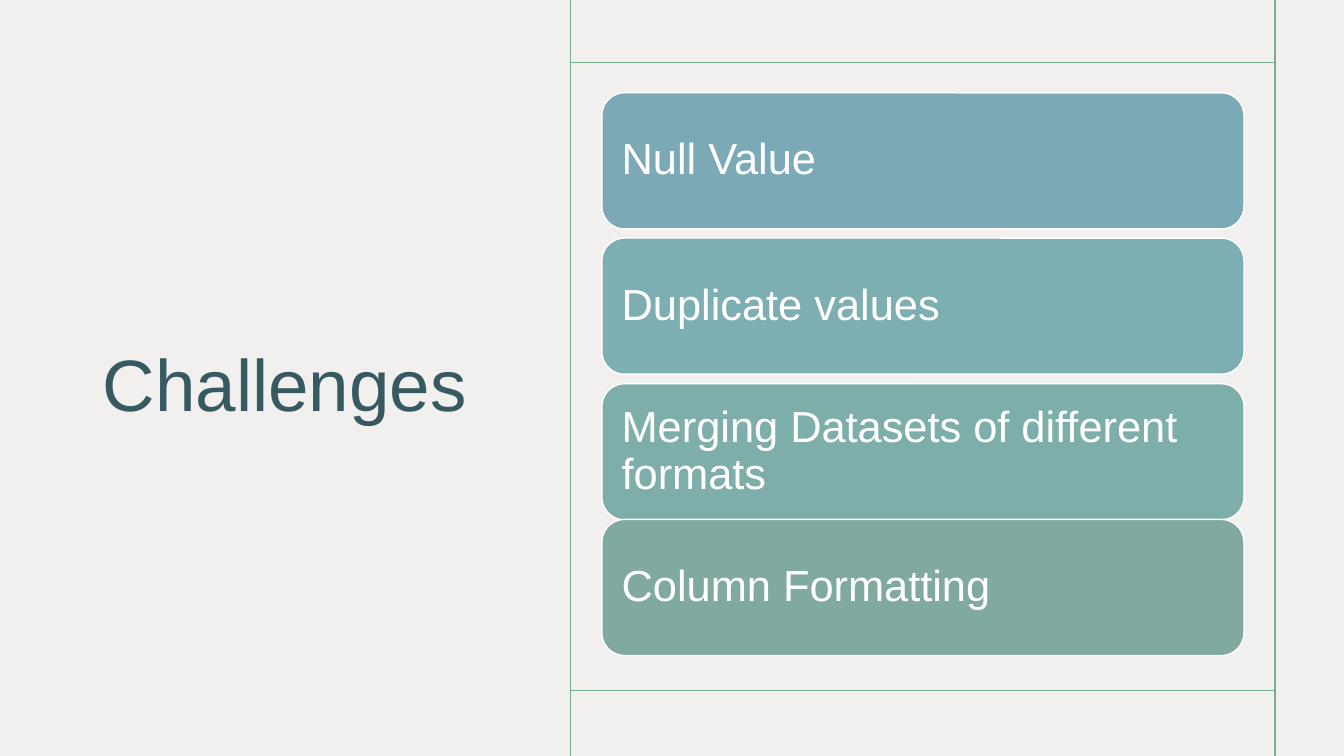
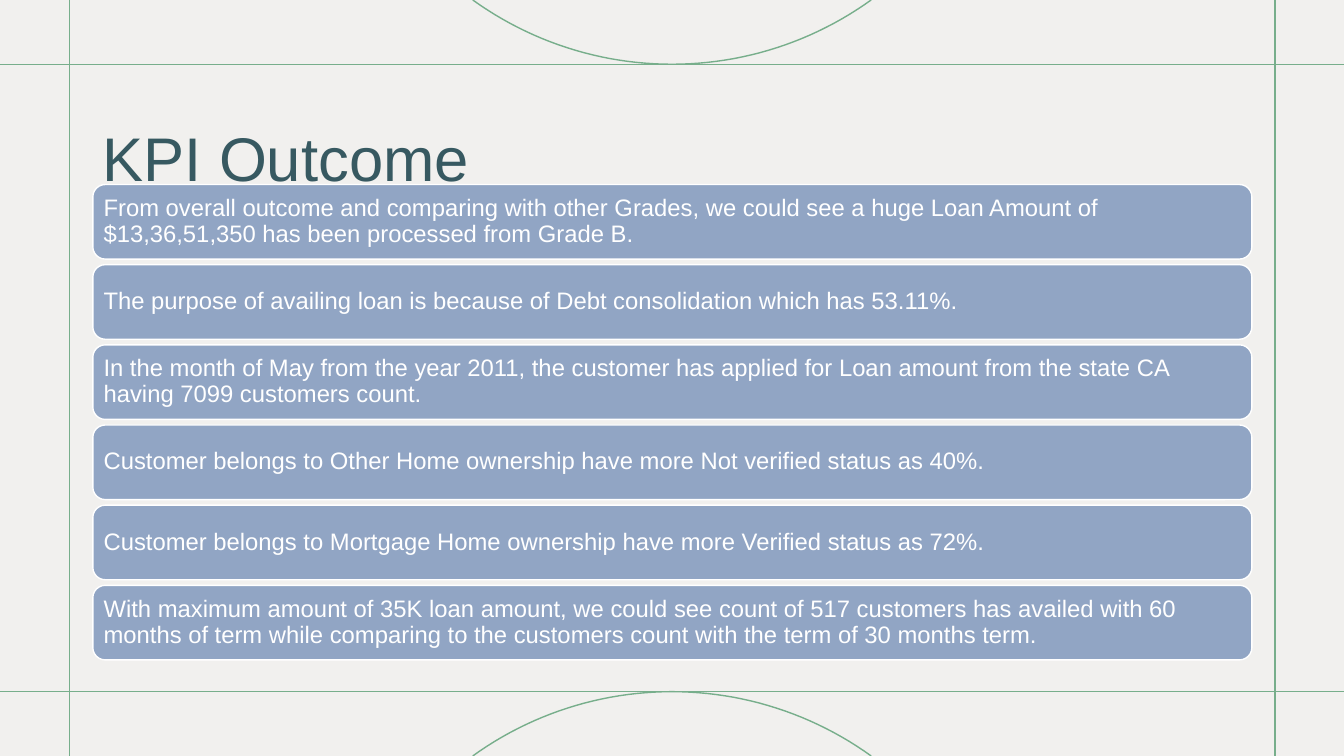
import math

from lxml import etree
from pptx import Presentation
from pptx.dml.color import RGBColor
from pptx.enum import shapes, text
from pptx.oxml.ns import qn
from pptx.util import Cm, Pt

BACKGROUND = RGBColor(0xF1, 0xF0, 0xEE)
GREEN = RGBColor(0x77, 0xAE, 0x8B)
TITLE_COLOR = RGBColor(0x37, 0x59, 0x61)
WHITE = RGBColor(0xFF, 0xFF, 0xFF)
BLUE = RGBColor(0x91, 0xA5, 0xC4)
FONT = "Arial"
WIDTH, HEIGHT = 33.87, 19.05

# Slide size, background and title style shared by both slides
presentation = Presentation()
presentation.slide_width, presentation.slide_height = Cm(WIDTH), Cm(HEIGHT)
background = presentation.slide_master.background.fill
background.solid()
background.fore_color.rgb = BACKGROUND
title_only = presentation.slide_layouts.get_by_name("Title Only")


def add_framed_slide(title, size, box, lines):
    """Add a slide with its title and green frame lines (x1, y1, x2, y2)."""
    slide = presentation.slides.add_slide(title_only)
    for line in lines:
        connector = slide.shapes.add_connector(
            shapes.MSO_CONNECTOR.STRAIGHT, *[Cm(value) for value in line])
        connector.line.color.rgb = GREEN
        connector.line.width = Pt(1)
        etree.SubElement(connector._element.spPr, qn("a:effectLst"))

    shape = slide.shapes.title
    shape.left, shape.top, shape.width, shape.height = [Cm(value) for value in box]
    frame = shape.text_frame
    frame.vertical_anchor = text.MSO_ANCHOR.MIDDLE
    frame.auto_size = text.MSO_AUTO_SIZE.NONE
    paragraph = frame.paragraphs[0]
    paragraph.alignment = text.PP_ALIGN.LEFT
    paragraph.line_spacing = 1.1
    run = paragraph.add_run()
    run.text = title
    run.font.name, run.font.size = FONT, Pt(size)
    run.font.color.rgb = TITLE_COLOR
    return slide


def add_card(slide, wording, box, color, size, margin):
    """Add a rounded card with left-aligned white text."""
    card = slide.shapes.add_shape(
        shapes.MSO_SHAPE.ROUNDED_RECTANGLE, *[Cm(value) for value in box])
    card.shadow.inherit = False
    card.fill.solid()
    card.fill.fore_color.rgb = color
    card.line.color.rgb = WHITE
    card.line.width = Pt(1)
    frame = card.text_frame
    frame.word_wrap = True
    frame.vertical_anchor = text.MSO_ANCHOR.MIDDLE
    frame.margin_left = frame.margin_right = Cm(margin)
    frame.margin_top = frame.margin_bottom = Cm(margin)
    paragraph = frame.paragraphs[0]
    paragraph.alignment = text.PP_ALIGN.LEFT
    paragraph.line_spacing = 0.9
    run = paragraph.add_run()
    run.text = wording
    run.font.name, run.font.size = FONT, Pt(size)
    run.font.color.rgb = WHITE


# Slide 1: challenges
left, right = 14.38, 32.13
slide = add_framed_slide(
    "Challenges", 52, (2.34, 1.62, 11.33, 15.82),
    [(left, y, right, y) for y in (1.58, 17.4)]
    + [(x, 0, x, HEIGHT) for x in (left, right)])

challenges = [
    ("Null Value", 2.34, RGBColor(0x7B, 0xA9, 0xB5)),
    ("Duplicate values", 6.0, RGBColor(0x7D, 0xAE, 0xB1)),
    ("Merging Datasets of different formats", 9.67, RGBColor(0x7E, 0xAE, 0xAA)),
    ("Column Formatting", 13.09, RGBColor(0x80, 0xAA, 0xA1)),
]
for wording, top, color in challenges:
    add_card(slide, wording, (15.17, top, 16.18, 3.43), color, 31, 0.33)

# Slide 2: KPI outcome
upper, lower = 1.62, 17.43
slide = add_framed_slide(
    "KPI Outcome", 44, (2.34, 2.03, 29.21, 3.68),
    [(0, y, WIDTH, y) for y in (upper, lower)]
    + [(x, 0, x, HEIGHT) for x in (1.75, right)])

# Circle arcs that touch the horizontal lines and run out at the slide edges
half_width = 5.02
radius = (half_width ** 2 + upper ** 2) / (2 * upper)
half_angle = math.asin(half_width / radius)
STEPS = 48
for tip, direction in ((upper, -1), (lower, 1)):
    points = []
    for step in range(STEPS + 1):
        angle = half_angle * (2 * step / STEPS - 1)
        points.append((Cm(WIDTH / 2 + radius * math.sin(angle)),
                       Cm(tip + direction * radius * (1 - math.cos(angle)))))
    builder = slide.shapes.build_freeform(*points[0])
    builder.add_line_segments(points[1:], close=False)
    arc = builder.convert_to_shape()
    arc.shadow.inherit = False
    arc.fill.background()
    arc.line.color.rgb = GREEN
    arc.line.width = Pt(1)

outcomes = [
    "From overall outcome and comparing with other Grades, we could see a huge "
    "Loan Amount of $13,36,51,350 has been processed from Grade B.",
    "The purpose of availing loan is because of Debt consolidation which has 53.11%.",
    "In the month of May from the year 2011, the customer has applied for Loan "
    "amount from the state CA having 7099 customers count.",
    "Customer belongs to Other Home ownership have more Not verified status as 40%.",
    "Customer belongs to Mortgage Home ownership have more Verified status as 72%.",
    "With maximum amount of 35K loan amount, we could see count of 517 customers "
    "has availed with 60 months of term while comparing to the customers count "
    "with the term of 30 months term.",
]
for index, wording in enumerate(outcomes):
    add_card(slide, wording, (2.34, 4.65 + 2.02 * index, 29.21, 1.88), BLUE, 17, 0.18)

presentation.save("out.pptx")
